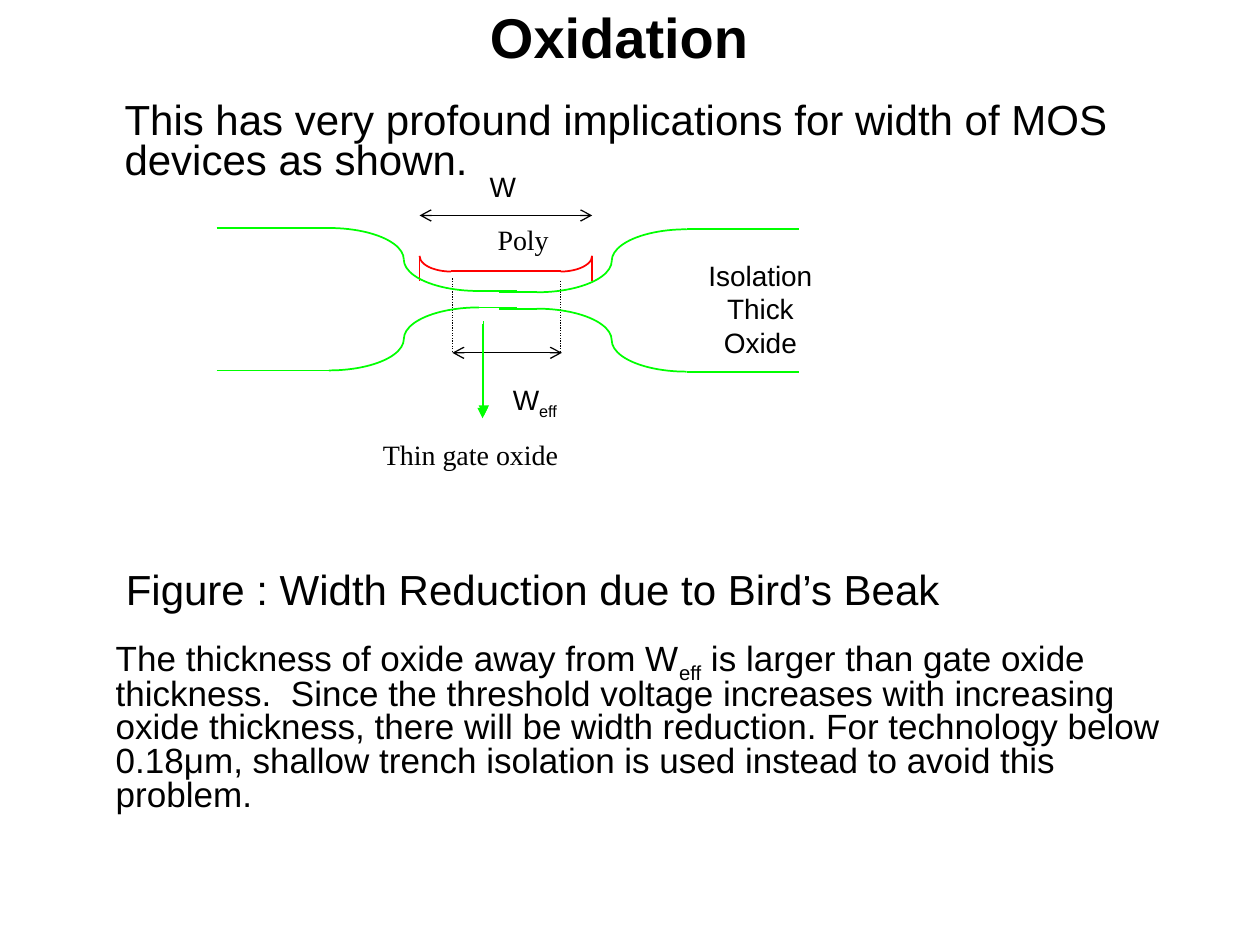
from dataclasses import dataclass

from lxml import etree
from pptx import Presentation
from pptx.dml.color import RGBColor
from pptx.enum.dml import MSO_LINE
from pptx.enum.shapes import MSO_CONNECTOR, MSO_SHAPE
from pptx.enum.text import MSO_ANCHOR, PP_ALIGN
from pptx.oxml.ns import qn
from pptx.util import Inches, Pt

LEFT, CENTER = PP_ALIGN.LEFT, PP_ALIGN.CENTER
DOTTED = MSO_LINE.ROUND_DOT
STRAIGHT = MSO_CONNECTOR.STRAIGHT
ARC = MSO_SHAPE.ARC
# Start angles of quarter arcs, clockwise from the right
LOWER_RIGHT, LOWER_LEFT, UPPER_LEFT, UPPER_RIGHT = 0, 90, 180, 270


@dataclass(frozen=True)
class Theme:
    ink: RGBColor = RGBColor(0, 0, 0)
    oxide: RGBColor = RGBColor(0, 255, 0)
    poly: RGBColor = RGBColor(255, 0, 0)
    sans: str = "Arial"
    serif: str = "Times New Roman"
    title: int = 32
    lead: int = 24
    body: int = 20
    label: int = 16
    thin: float = 0.75
    outline: float = 1


class SlideBuilder:
    def __init__(self, slide, theme):
        self.slide = slide
        self.theme = theme

    def add_runs(self, paragraph, runs, size, font=None, bold=False):
        """Add (text, is_subscript) runs to a paragraph."""
        for text, subscript in runs:
            run = paragraph.add_run()
            run.text = text
            run.font.size = Pt(size)
            run.font.name = font or self.theme.sans
            run.font.bold = bold
            run.font.color.rgb = self.theme.ink
            if subscript:
                run.font._element.set("baseline", "-25000")

    def title(self, text, box):
        shape = self.slide.shapes.title
        shape.left, shape.top, shape.width, shape.height = map(Inches, box)
        shape.text_frame.vertical_anchor = MSO_ANCHOR.MIDDLE
        paragraph = shape.text_frame.paragraphs[0]
        paragraph.alignment = CENTER
        self.add_runs(paragraph, [(text, False)], self.theme.title, bold=True)

    def text(self, runs, box, size, font=None, align=LEFT, indent=0, spacing=1.0):
        shape = self.slide.shapes.add_textbox(*map(Inches, box))
        shape.text_frame.word_wrap = True
        paragraph = shape.text_frame.paragraphs[0]
        paragraph.alignment = align
        paragraph.line_spacing = spacing
        if indent:
            paragraph._p.get_or_add_pPr().set("marL", str(Inches(indent)))
        self.add_runs(paragraph, runs, size, font)

    def line(self, start, end, color, width, dash=None, head=None, tail=None):
        connector = self.slide.shapes.add_connector(
            STRAIGHT, *map(Inches, (*start, *end)))
        connector.line.color.rgb = color
        connector.line.width = Pt(width)
        if dash:
            connector.line.dash_style = dash
        outline = connector.line._get_or_add_ln()
        for tag, arrow in (("a:headEnd", head), ("a:tailEnd", tail)):
            if arrow:
                etree.SubElement(outline, qn(tag)).set("type", arrow)
        etree.SubElement(connector._element.spPr, qn("a:effectLst"))

    def quarter_arc(self, center, size, start, color):
        (x, y), (width, height) = center, size
        shape = self.slide.shapes.add_shape(
            ARC, *map(Inches, (x - width / 2, y - height / 2, width, height)))
        # Adjustments count 60000ths of a degree, scaled by 100000
        shape.adjustments[0] = start * 0.6
        shape.adjustments[1] = (start + 90) % 360 * 0.6
        shape.shadow.inherit = False
        shape.fill.background()
        shape.line.color.rgb = color
        shape.line.width = Pt(self.theme.outline)


def draw_oxide(builder):
    theme = builder.theme
    size, half = (1.19, 0.5), 0.25
    axis = 4.03
    # Each side: direction from the axis, top of upper edge, top of lower edge,
    # then the quarter turns (outer top, neck top, outer bottom, neck bottom)
    sides = (
        (-1, 1.81, 2.44, (UPPER_RIGHT, LOWER_LEFT, LOWER_RIGHT, UPPER_LEFT)),
        (1, 1.82, 2.45, (UPPER_LEFT, LOWER_RIGHT, LOWER_LEFT, UPPER_RIGHT)),
    )
    for direction, upper, lower, turns in sides:
        far, outer, neck, overlap = (
            axis + direction * reach for reach in (2.31, 1.42, 0.23, -0.07))
        edges = (
            (upper, upper, upper + 2 * half, turns[:2]),
            (lower, lower + 2 * half, lower, turns[2:]),
        )
        for top, outer_y, neck_y, (outer_turn, neck_turn) in edges:
            builder.line((far, outer_y), (outer, outer_y), theme.oxide, theme.outline)
            builder.quarter_arc((outer, top + half), size, outer_turn, theme.oxide)
            builder.quarter_arc((neck, top + half), size, neck_turn, theme.oxide)
            builder.line((neck, neck_y), (overlap, neck_y), theme.oxide, theme.outline)


def draw_poly(builder):
    theme = builder.theme
    for edge, center, turn in ((3.33, 3.58, LOWER_LEFT), (4.7, 4.45, LOWER_RIGHT)):
        builder.line((edge, 2.23), (edge, 2.03), theme.poly, theme.outline)
        builder.quarter_arc((center, 2.03), (0.5, 0.25), turn, theme.poly)
    builder.line((3.58, 2.15), (4.45, 2.15), theme.poly, theme.outline)


def draw_dimensions(builder):
    theme = builder.theme
    # Drawn and effective widths
    for left, right, y in ((3.33, 4.7, 1.71), (3.59, 4.46, 2.8)):
        builder.line((left, y), (right, y), theme.ink, theme.thin,
                     head="arrow", tail="arrow")
    for x, top in ((3.59, 2.21), (4.45, 2.23)):
        builder.line((x, top), (x, 2.8), theme.ink, theme.thin, dash=DOTTED)
    # Doubled pointer to the thin gate oxide
    for x, top in ((3.83, 2.57), (3.84, 2.55)):
        builder.line((x, top), (x, top + 0.75), theme.oxide, theme.thin,
                     tail="triangle")


def main():
    presentation = Presentation()
    presentation.slide_width, presentation.slide_height = Inches(10), Inches(7.5)
    slide = presentation.slides.add_slide(presentation.slide_layouts[5])
    theme = Theme()
    builder = SlideBuilder(slide, theme)

    # Title and running text
    builder.title("Oxidation", (0.51, 0, 8.81, 0.58))
    builder.text(
        [("This has very profound implications for width of MOS devices as shown.", False)],
        (0.51, 0.77, 9.19, 0.78), theme.lead, indent=0.38, spacing=0.8)
    builder.text([("Figure : Width Reduction due to Bird’s Beak", False)],
                 (0.9, 4.42, 6.72, 0.61), theme.lead)
    builder.text(
        [("The thickness of oxide away from W", False), ("eff", True),
         (" is larger than gate oxide thickness.  Since the threshold voltage "
          "increases with increasing oxide thickness, there will be width "
          "reduction. For technology below 0.18μm, shallow trench isolation is "
          "used instead to avoid this problem.", False)],
        (0.44, 5.04, 9.19, 1.94), theme.body, indent=0.38, spacing=0.8)

    # Cross-section of the device
    draw_poly(builder)
    draw_dimensions(builder)
    draw_oxide(builder)

    # Labels of the cross-section
    labels = (
        ([("W", False), ("eff", True)], (3.72, 2.99, 1.05, 0.41), theme.sans, CENTER),
        ([("W", False)], (3.75, 1.3, 0.48, 0.37), theme.sans, CENTER),
        ([("Poly", False)], (3.85, 1.72, 0.62, 0.5), theme.serif, LEFT),
        ([("Thin gate oxide", False)], (2.94, 3.42, 1.62, 0.5), theme.serif, LEFT),
        ([("Isolation Thick Oxide", False)], (5.41, 2, 1.25, 0.9), theme.sans, CENTER),
    )
    for runs, box, font, align in labels:
        builder.text(runs, box, theme.label, font, align)

    presentation.save("out.pptx")


if __name__ == "__main__":
    main()
